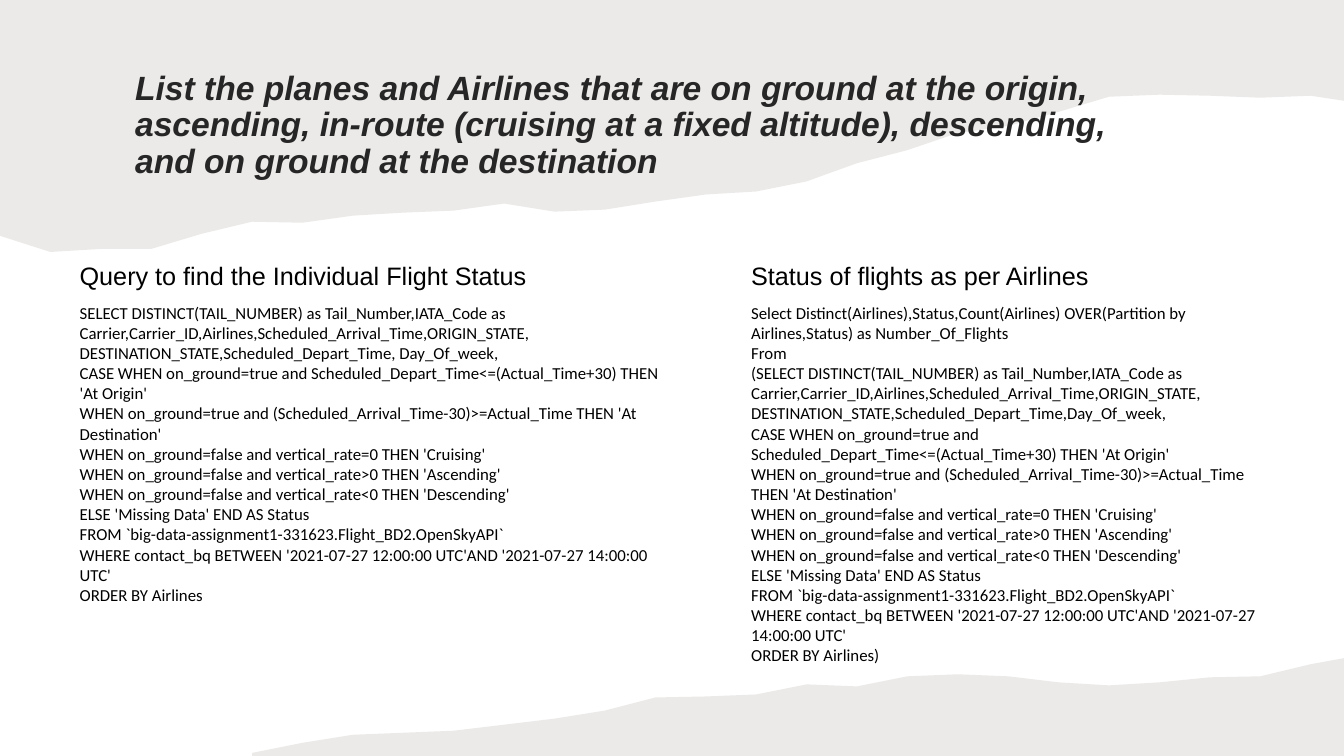
from dataclasses import dataclass

from lxml.etree import SubElement
from pptx import Presentation
from pptx.dml.color import RGBColor
from pptx.enum.text import MSO_ANCHOR, MSO_AUTO_SIZE, PP_ALIGN
from pptx.oxml.ns import qn
from pptx.util import Emu, Inches, Pt

SLIDE_WIDTH, SLIDE_HEIGHT = 13.33, 7.5
COLUMN_LEFTS = (0.69, 7.35)
HEADING_TOP, QUERY_TOP = 2.53, 2.95
COLORS = {"paper": "82766A", "title": "262626", "text": "000000"}
PAPER_OPACITY = 15
TEAR_STEP = 0.5


@dataclass
class TornPaper:
    """A sheet between one horizontal slide edge and a tear sampled at even steps."""
    outer_edge: float
    tear_start: float
    tear_heights: list[float]


TORN_PAPERS = [
    TornPaper(SLIDE_HEIGHT, 2.5, [
        7.47, 7.37, 7.29, 7.27, 7.25, 7.19, 7.13, 7.05, 6.92, 6.91, 6.89, 6.79,
        6.81, 6.71, 6.69, 6.71, 6.77, 6.8, 6.77, 6.72, 6.71, 6.59, 6.53]),
    TornPaper(0, 0, [
        2.34, 2.5, 2.47, 2.47, 2.32, 2.2, 2.21, 2.14, 2.11, 2.09, 2.02, 2.1, 2.08, 2,
        1.93, 1.9, 1.8, 1.62, 1.49, 1.32, 1.25, 1.11, 0.96, 0.94, 0.95, 0.97, 0.95, 1]),
]


def select_fields(separator: str) -> str:
    return (
        "SELECT DISTINCT(TAIL_NUMBER) as Tail_Number,IATA_Code as "
        "Carrier,Carrier_ID,Airlines,Scheduled_Arrival_Time,ORIGIN_STATE, "
        f"DESTINATION_STATE,Scheduled_Depart_Time,{separator}Day_Of_week,"
    )


STATUS_LINES = [
    "CASE WHEN on_ground=true and Scheduled_Depart_Time<=(Actual_Time+30) THEN 'At Origin'",
    "WHEN on_ground=true and (Scheduled_Arrival_Time-30)>=Actual_Time THEN 'At Destination'",
    "WHEN on_ground=false and vertical_rate=0 THEN 'Cruising'",
    "WHEN on_ground=false and vertical_rate>0 THEN 'Ascending'",
    "WHEN on_ground=false and vertical_rate<0 THEN 'Descending'",
    "ELSE 'Missing Data' END AS Status",
    "FROM `big-data-assignment1-331623.Flight_BD2.OpenSkyAPI`",
    "WHERE contact_bq BETWEEN '2021-07-27 12:00:00 UTC'AND '2021-07-27 14:00:00 UTC'",
]


@dataclass
class QueryColumn:
    heading: str
    lines: list[str]
    width: float
    height: float


QUERY_COLUMNS = [
    QueryColumn(
        "Query to find the Individual Flight Status",
        [select_fields(" "), *STATUS_LINES, "ORDER BY Airlines"],
        5.98, 3.13,
    ),
    QueryColumn(
        "Status of flights as per Airlines",
        ["Select Distinct(Airlines),Status,Count(Airlines) OVER(Partition by "
         "Airlines,Status) as Number_Of_Flights",
         "From", "(" + select_fields(""), *STATUS_LINES, "ORDER BY Airlines)"],
        5.36, 4.24,
    ),
]


def add_torn_paper(slide, sheet: TornPaper) -> None:
    """Draw a translucent sheet behind all the text."""
    tear = [
        (Inches(min(sheet.tear_start + step * TEAR_STEP, SLIDE_WIDTH)), Inches(height))
        for step, height in enumerate(sheet.tear_heights)
    ]
    outer = Inches(sheet.outer_edge)
    builder = slide.shapes.build_freeform(Inches(sheet.tear_start), outer)
    builder.add_line_segments([*tear, (Inches(SLIDE_WIDTH), outer)], close=True)
    paper = builder.convert_to_shape(Emu(0), Emu(0))
    paper.shadow.inherit = False
    paper.line.fill.background()
    paper.fill.solid()
    paper.fill.fore_color.rgb = RGBColor.from_string(COLORS["paper"])
    color = paper._element.spPr.find(f"{qn('a:solidFill')}/{qn('a:srgbClr')}")
    SubElement(color, qn("a:alpha")).set("val", str(PAPER_OPACITY * 1000))
    slide.shapes._spTree.insert(2, paper._element)


def write_text(placeholder, lines: list[str], bounds: tuple[float, ...], *,
               size: float, font: str, color: str = "text", bold: bool = False,
               italic: bool = False, line_spacing: float = 1.0,
               anchor=MSO_ANCHOR.TOP, auto_size=MSO_AUTO_SIZE.SHAPE_TO_FIT_TEXT) -> None:
    placeholder.left, placeholder.top, placeholder.width, placeholder.height = map(Inches, bounds)
    frame = placeholder.text_frame
    frame.word_wrap = True
    frame.auto_size = auto_size
    frame.vertical_anchor = anchor
    frame.text = "\n".join(lines)
    for paragraph in frame.paragraphs:
        properties = paragraph._p.get_or_add_pPr()
        properties.set("marL", "0")
        properties.set("indent", "0")
        SubElement(properties, qn("a:buNone"))
        paragraph.alignment = PP_ALIGN.LEFT
        paragraph.space_before = Pt(0)
        paragraph.line_spacing = line_spacing
        for run in paragraph.runs:
            run.font.size = Pt(size)
            run.font.name = font
            run.font.bold = bold
            run.font.italic = italic
            run.font.color.rgb = RGBColor.from_string(COLORS[color])


def main() -> None:
    presentation = Presentation()
    presentation.slide_width = Inches(SLIDE_WIDTH)
    presentation.slide_height = Inches(SLIDE_HEIGHT)
    comparison_layout = presentation.slide_layouts[4]
    slide = presentation.slides.add_slide(comparison_layout)
    title, *bodies = slide.placeholders

    for sheet in TORN_PAPERS:
        add_torn_paper(slide, sheet)

    write_text(
        title,
        ["List the planes and Airlines that are on ground at the origin, ascending, "
         "in-route (cruising at a fixed altitude), descending, and on ground at the destination"],
        (1.24, 0.6, 10.44, 1.3), size=24, font="Arial", color="title", bold=True,
        italic=True, line_spacing=0.9, anchor=MSO_ANCHOR.MIDDLE, auto_size=MSO_AUTO_SIZE.NONE,
    )
    for left, column, heading, query in zip(COLUMN_LEFTS, QUERY_COLUMNS, bodies[::2], bodies[1::2]):
        write_text(heading, [column.heading], (left, HEADING_TOP, 5.7, 0.4), size=18, font="Arial")
        write_text(query, column.lines, (left, QUERY_TOP, column.width, column.height),
                   size=12, font="Calibri")

    presentation.save("out.pptx")


if __name__ == "__main__":
    main()
